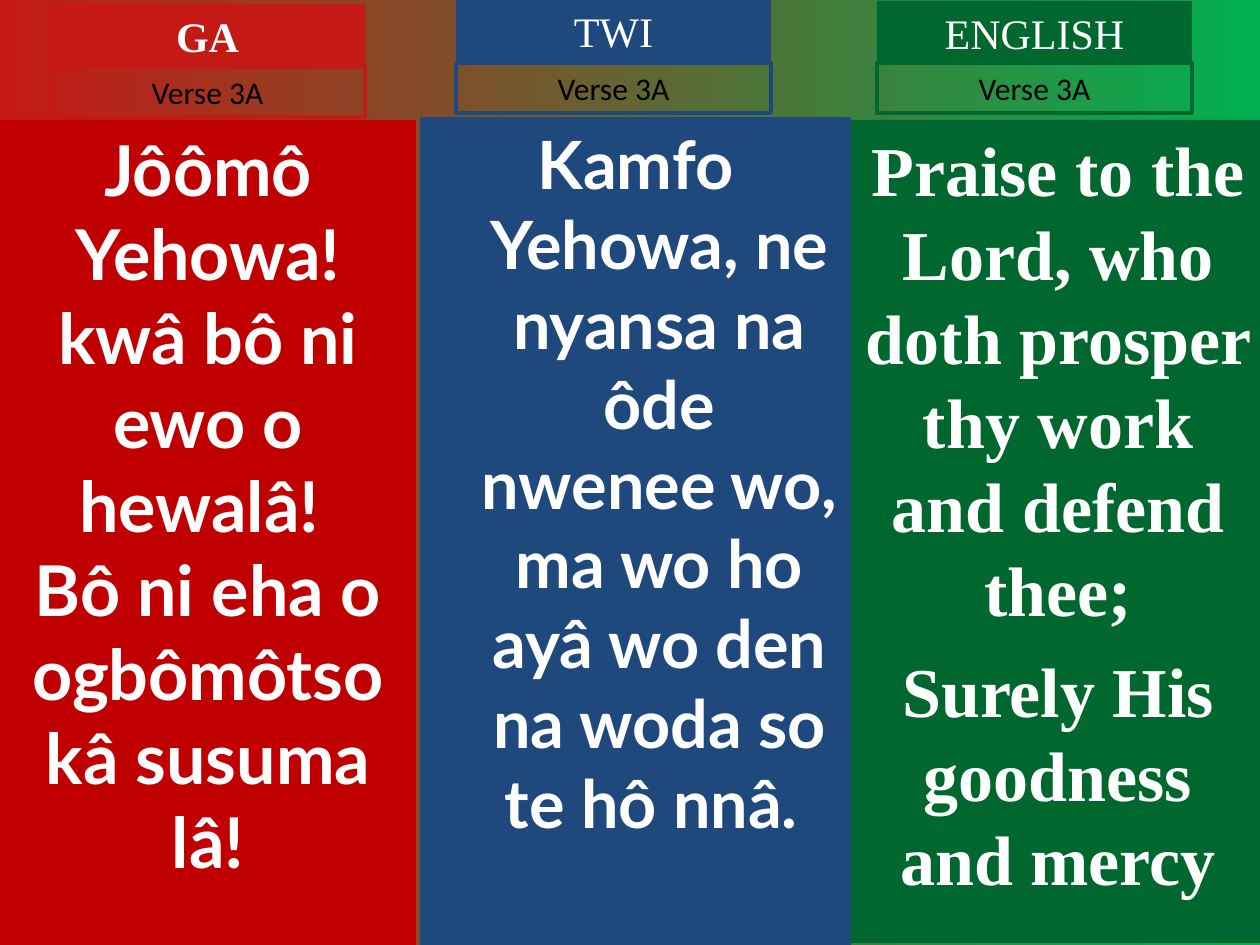
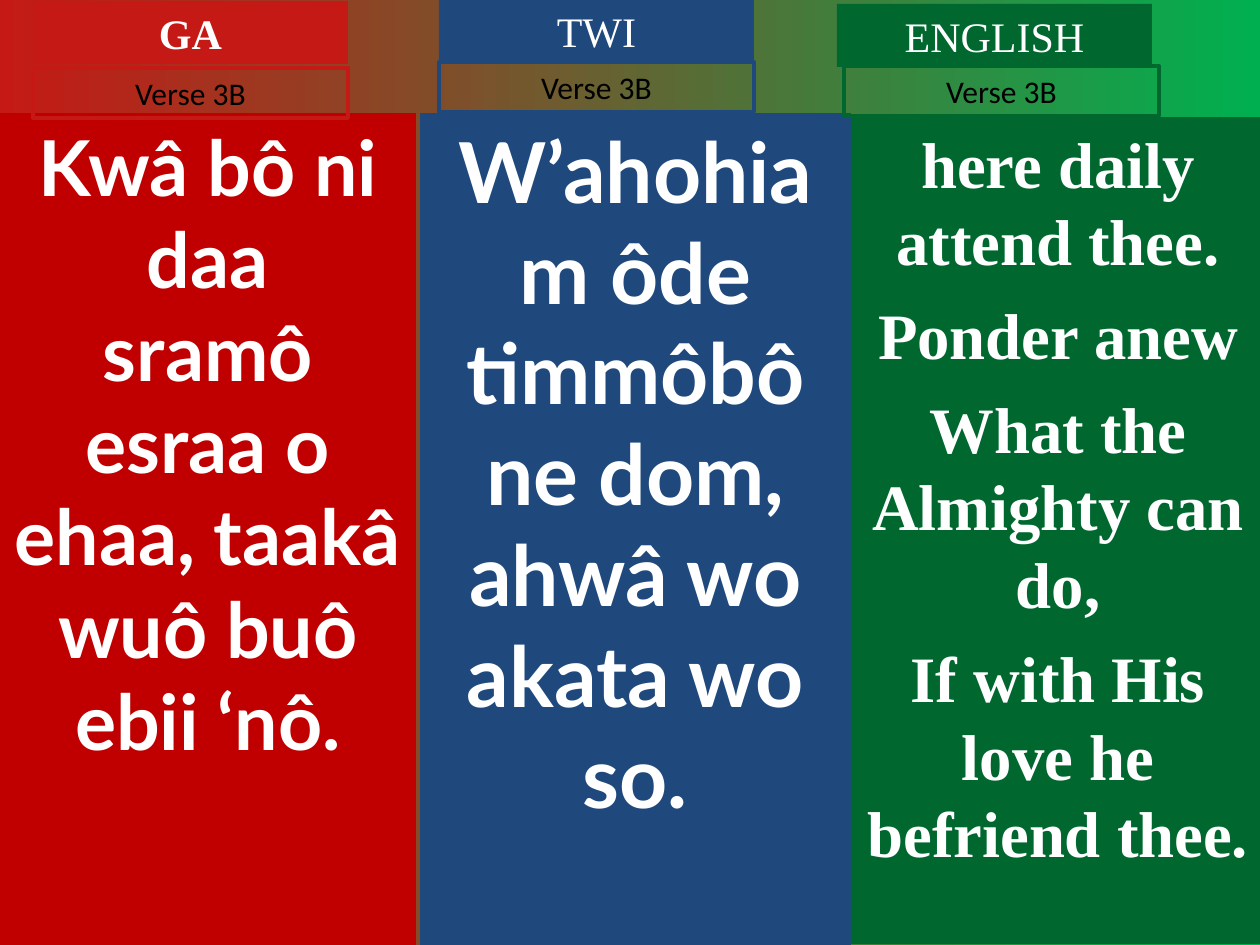
import lxml.etree
import pptx
import pptx.dml.color
import pptx.enum.shapes
import pptx.enum.text
import pptx.oxml.ns
import pptx.util

PX = 914400 / 126
RED, DARK, BLUE, GREEN = "C51915", "C00000", "1F497D", "00682F"
WHITE, BLACK = "FFFFFF", "000000"
SERIF, SANS, PLAIN = "Times New Roman", "Lato", "Calibri"
COMPARE = 4  # layout with a title and several body placeholders
HEADS = [("GA", RED), ("TWI", BLUE), ("ENGLISH", GREEN)]
PANELS = [DARK, BLUE, GREEN]

# Heads and tags list the left and top of each box, in px.
VERSES = [
    {
        "tag": "Verse 3A",
        "heads": [(50, 4), (456, -1), (877, 1)],
        "tags": [(50, 67), (456, 63), (877, 63)],
        "panels": [(0, 120, 416, 825), (420, 117, 431, 828), (851, 120, 414, 823)],
        "texts": [
            (["Jôômô Yehowa!", "kwâ bô ni ewo o hewalâ! ",
              "Bô ni eha o ogbômôtso kâ susuma lâ!"],
             {"size": 40, "font": SANS}),
            (["Kamfo Yehowa, ne nyansa na ôde nwenee wo, ma wo ho ayâ "
              "wo den na woda so te hô nnâ. "],
             {"size": 38, "font": SANS, "hang": 48}),
            (["Praise to the Lord, who doth prosper thy work and defend thee;",
              "Surely His goodness and mercy"],
             {"size": 40, "font": SERIF, "before": 10}),
        ],
    },
    {
        "tag": "Verse 3B",
        "heads": [(33, 1), (439, -1), (837, 4)],
        "tags": [(33, 68), (439, 62), (844, 66)],
        "panels": [(0, 113, 416, 832), (420, 113, 431, 832), (851, 117, 414, 827)],
        "texts": [
            (["Kwâ bô ni daa", "sramô esraa o ehaa, taakâ wuô buô ebii ‘nô."],
             {"size": 44, "font": SANS}),
            (["W’ahohiam ôde timmôbô ne dom, ahwâ wo akata wo so."],
             {"size": 48, "font": SANS}),
            (["here daily attend thee.", "Ponder anew",
              "What the Almighty can do,", "If with His love he befriend thee."],
             {"size": 37, "font": SERIF, "before": 9.2}),
        ],
    },
]


def emu(px):
    return pptx.util.Emu(round(px * PX))


def rgb(code):
    return pptx.dml.color.RGBColor.from_string(code)


def place(shape, left, top, width, height):
    shape.left, shape.top = emu(left), emu(top)
    shape.width, shape.height = emu(width), emu(height)


def paint(shape, color):
    shape.fill.solid()
    shape.fill.fore_color.rgb = rgb(color)


def write(shape, lines, size=24, font=SERIF, color=WHITE, bold=False,
          before=0, hang=0):
    """Fill the shape with centred paragraphs; serif lines are 1.2 em apart."""
    frame = shape.text_frame
    frame.word_wrap = True
    frame.auto_size = pptx.enum.text.MSO_AUTO_SIZE.NONE
    frame.vertical_anchor = pptx.enum.text.MSO_ANCHOR.TOP
    for i, line in enumerate(lines):
        para = frame.paragraphs[0] if i == 0 else frame.add_paragraph()
        props = para._p.get_or_add_pPr()
        props.set("marL", str(emu(hang)))
        props.set("indent", str(emu(-hang)))
        lxml.etree.SubElement(props, pptx.oxml.ns.qn("a:buNone"))
        para.alignment = pptx.enum.text.PP_ALIGN.CENTER
        para.space_before = pptx.util.Pt(before if i else 0)
        if font == SERIF:
            para.line_spacing = pptx.util.Pt(size * 1.2)
        run = para.add_run()
        run.text = line
        run.font.size = pptx.util.Pt(size)
        run.font.name = font
        run.font.bold = bold
        run.font.color.rgb = rgb(color)


def add_box(slide, left, top, width, height):
    kind = pptx.enum.shapes.MSO_SHAPE.RECTANGLE
    box = slide.shapes.add_shape(
        kind, emu(left), emu(top), emu(width), emu(height))
    box.shadow.inherit = False
    box.fill.background()
    box.line.fill.background()
    return box


def add_head(slide, spot, text, color):
    """The first language is the slide title, in bold."""
    area = (*spot, 315, 63)
    first = text == HEADS[0][0]
    if first:
        head = slide.shapes.title
        place(head, *area)
    else:
        head = add_box(slide, *area)
    paint(head, color)
    write(head, [text], bold=first)


def add_tag(slide, spot, text, color):
    tag = add_box(slide, *spot, 315, 50)
    tag.line.color.rgb = rgb(color)
    tag.line.width = pptx.util.Pt(2.25)
    write(tag, [text], size=18, font=PLAIN, color=BLACK)


def fill_panel(panel, area, color, lines, style):
    place(panel, *area)
    paint(panel, color)
    write(panel, lines, bold=True, **style)


def add_verse(deck, verse):
    slide = deck.slides.add_slide(deck.slide_layouts[COMPARE])
    bodies = list(slide.placeholders)[1:]
    for body, area, color, (lines, style) in zip(
            bodies, verse["panels"], PANELS, verse["texts"]):
        fill_panel(body, area, color, lines, style)
    for spare in bodies[len(PANELS):]:
        spare.element.getparent().remove(spare.element)
    for spot, (text, color) in zip(verse["heads"], HEADS):
        add_head(slide, spot, text, color)
    for spot, (_, color) in zip(verse["tags"], HEADS):
        add_tag(slide, spot, verse["tag"], color)


def set_back(master):
    fill = master.background.fill
    fill.gradient()
    fill.gradient_angle = 0
    for stop, color, spot in zip(fill.gradient_stops, (RED, "00B050"), (0, 1)):
        stop.color.rgb = rgb(color)
        stop.position = spot


def main():
    deck = pptx.Presentation()
    deck.slide_width, deck.slide_height = emu(1260), emu(945)
    set_back(deck.slide_master)
    for verse in VERSES:
        add_verse(deck, verse)
    deck.save("out.pptx")


if __name__ == "__main__":
    main()
